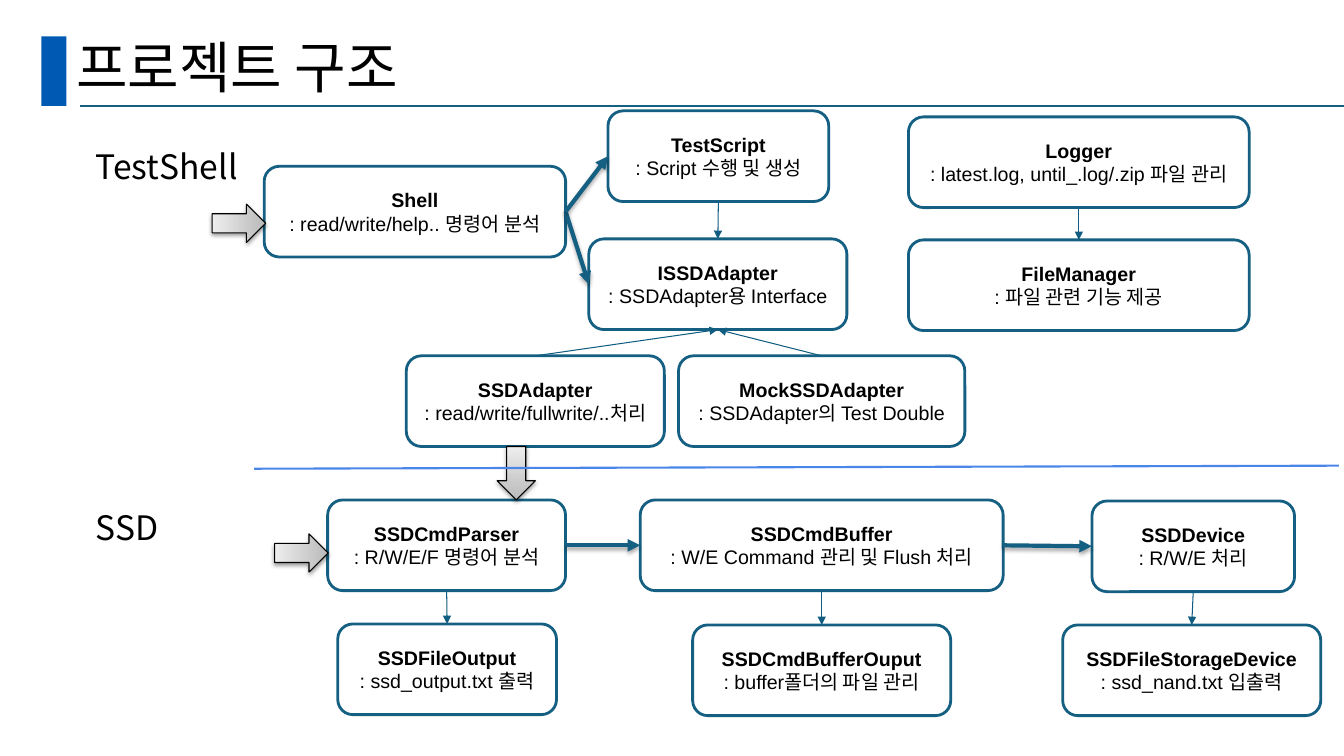
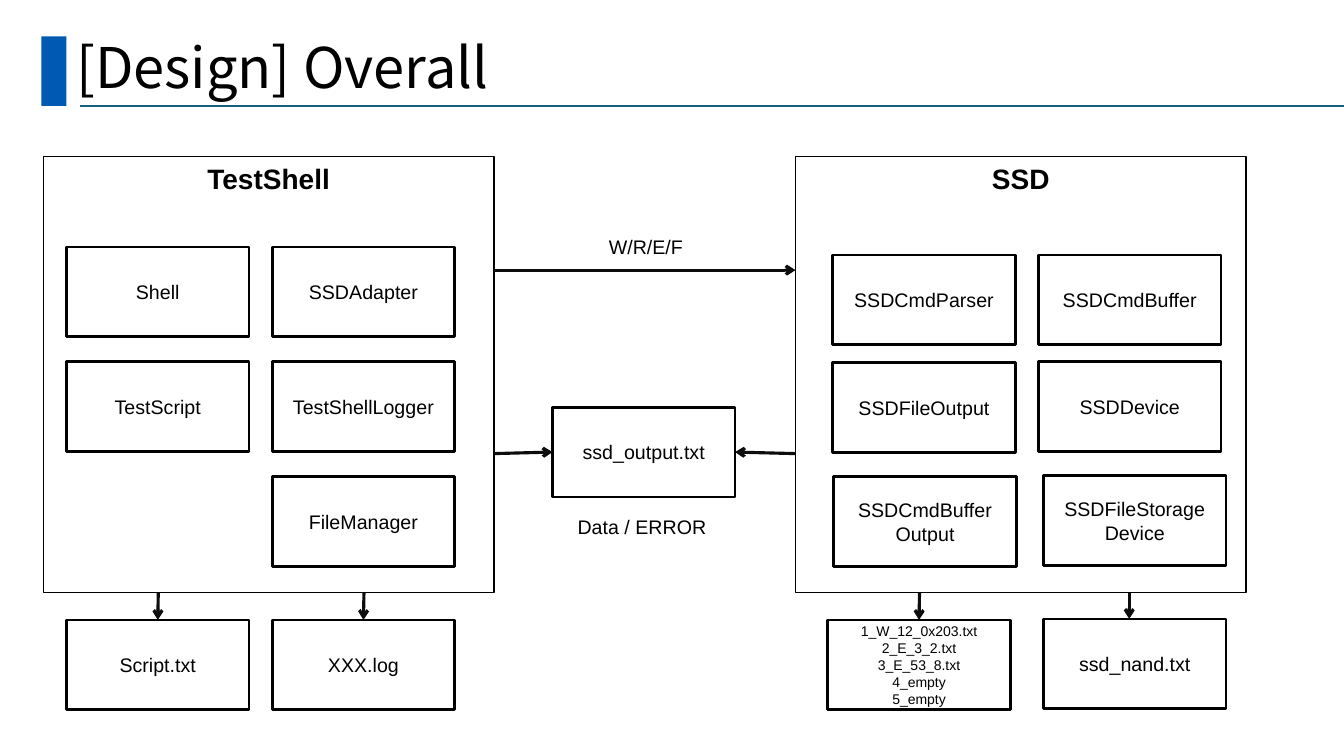
from dataclasses import dataclass

from lxml.etree import SubElement
from pptx import Presentation
from pptx.dml.color import RGBColor
from pptx.enum.shapes import MSO_CONNECTOR, MSO_SHAPE
from pptx.enum.text import MSO_ANCHOR, PP_ALIGN
from pptx.oxml.ns import qn
from pptx.util import Inches, Pt


@dataclass(frozen=True)
class Theme:
    band: str = "005AB4"
    teal: str = "156082"
    thin_arrow: str = "115D81"
    divider: str = "4A86E8"
    black: str = "000000"
    flow: str = "0D0D0D"
    white: str = "FFFFFF"
    arrow_dark: str = "BABABA"
    arrow_light: str = "EDEDED"
    heading_font: str = "Noto Sans CJK KR"
    body_font: str = "Arial"
    title_size: int = 40
    label_size: int = 24
    panel_size: int = 20
    text_size: int = 14
    small_size: int = 10


theme = Theme()
TOP, LEFT, BOTTOM, RIGHT = range(4)


def write_text(shape, lines, size, font=theme.body_font, align=PP_ALIGN.CENTER,
               anchor=MSO_ANCHOR.MIDDLE, bold_first=False, spacing=None, wrap=True):
    """Write one paragraph per line; a newline inside a line is a line break."""
    frame = shape.text_frame
    frame.word_wrap = wrap
    frame.vertical_anchor = anchor
    for index, line in enumerate(lines):
        paragraph = frame.paragraphs[0] if index == 0 else frame.add_paragraph()
        paragraph.alignment = align
        paragraph.line_spacing = spacing
        for part_index, part in enumerate(line.split("\n")):
            if part_index:
                paragraph.add_line_break()
            run = paragraph.add_run()
            run.text = part
            run.font.size = Pt(size)
            run.font.bold = bold_first and index == 0
            run.font.name = font
            run.font.color.rgb = RGBColor.from_string(theme.black)
            east_asian = SubElement(run.font._element, qn("a:ea"))
            east_asian.set("typeface", theme.heading_font)


def style_line(shape, colour, width, head=None, shadow=None):
    """Set line, arrowhead and shadow; shadow is (opacity %, distance in points)."""
    shape.line.color.rgb = RGBColor.from_string(colour)
    shape.line.width = Pt(width)
    properties = shape._element.spPr
    if head:
        SubElement(properties.find(qn("a:ln")), qn("a:tailEnd"), type=head)
    effects = SubElement(properties, qn("a:effectLst"))
    if shadow:
        opacity, distance = shadow
        outer = SubElement(effects, qn("a:outerShdw"), blurRad=str(Pt(3.1)),
                           dist=str(Pt(distance)), dir="5400000", rotWithShape="0")
        shade = SubElement(outer, qn("a:srgbClr"), val=theme.black)
        SubElement(shade, qn("a:alpha"), val=str(opacity * 1000))


presentation = Presentation()
presentation.slide_width = Inches(13.33)
presentation.slide_height = Inches(7.5)

# Shared header: band, rule and title
slides = []
for title in ("프로젝트 구조", "[Design] Overall"):
    slide = presentation.slides.add_slide(presentation.slide_layouts[6])
    slides.append(slide)
    band = slide.shapes.add_shape(MSO_SHAPE.RECTANGLE, Inches(0.41), Inches(0.36),
                                  Inches(0.25), Inches(0.69))
    band.shadow.inherit = False
    band.fill.solid()
    band.fill.fore_color.rgb = RGBColor.from_string(theme.band)
    band.line.fill.background()
    rule = slide.shapes.add_connector(MSO_CONNECTOR.STRAIGHT, Inches(0.79), Inches(1.05),
                                      Inches(13.33), Inches(1.05))
    style_line(rule, theme.teal, 1.5)
    title_box = slide.shapes.add_textbox(Inches(0.66), Inches(0.34), Inches(11.5), Inches(0.71))
    write_text(title_box, [title], theme.title_size, theme.heading_font,
               PP_ALIGN.LEFT, spacing=0.9)

structure, design = slides

# Structure: section labels
for label, top in (("TestShell", 1.44), ("SSD", 5.03)):
    label_box = structure.shapes.add_textbox(Inches(0.85), Inches(top), Inches(2), Inches(0.5))
    write_text(label_box, [label], theme.label_size, theme.heading_font,
               PP_ALIGN.LEFT, MSO_ANCHOR.TOP, spacing=0.9)

# Structure: class boxes as name, role, left, top, width
classes = [
    ("SSDCmdParser", ": R/W/E/F 명령어 분석", 3.25, 4.96, 2.36),
    ("SSDCmdBuffer", ": W/E Command 관리 및 Flush 처리", 6.35, 4.96, 3.6),
    ("SSDDevice", ": R/W/E 처리", 10.83, 4.97, 2.01),
    ("SSDCmdBufferOuput", ": buffer폴더의 파일 관리", 6.87, 6.2, 2.56),
    ("SSDFileOutput", ": ssd_output.txt 출력", 3.35, 6.19, 2.17),
    ("SSDFileStorageDevice", ": ssd_nand.txt 입출력", 10.54, 6.2, 2.56),
    ("Shell", ": read/write/help.. 명령어 분석", 2.62, 1.65, 2.99),
    ("ISSDAdapter", ": SSDAdapter용 Interface", 5.84, 2.37, 2.56),
    ("TestScript", ": Script 수행 및 생성", 6.03, 1.1, 2.19),
    ("SSDAdapter", ": read/write/fullwrite/..처리", 4.03, 3.53, 2.56),
    ("Logger", ": latest.log, until_.log/.zip 파일 관리", 9.01, 1.16, 3.38),
    ("MockSSDAdapter", ": SSDAdapter의 Test Double", 6.73, 3.53, 2.84),
    ("FileManager", ": 파일 관련 기능 제공", 9.01, 2.38, 3.38),
]
class_boxes = {}
for name, role, left, top, width in classes:
    box = structure.shapes.add_shape(MSO_SHAPE.ROUNDED_RECTANGLE, Inches(left), Inches(top),
                                     Inches(width), Inches(0.9))
    box.fill.solid()
    box.fill.fore_color.rgb = RGBColor.from_string(theme.white)
    style_line(box, theme.teal, 2)
    write_text(box, [name, role], theme.text_size, bold_first=True)
    class_boxes[name] = box

# Structure: links between class boxes, thick for the main flow
links = [
    ("SSDCmdParser", BOTTOM, "SSDFileOutput", TOP, False),
    ("SSDCmdBuffer", BOTTOM, "SSDCmdBufferOuput", TOP, False),
    ("SSDDevice", BOTTOM, "SSDFileStorageDevice", TOP, False),
    ("SSDCmdParser", RIGHT, "SSDCmdBuffer", LEFT, True),
    ("SSDCmdBuffer", RIGHT, "SSDDevice", LEFT, True),
    ("Shell", RIGHT, "ISSDAdapter", LEFT, True),
    ("Shell", RIGHT, "TestScript", LEFT, True),
    ("SSDAdapter", TOP, "ISSDAdapter", BOTTOM, False),
    ("MockSSDAdapter", TOP, "ISSDAdapter", BOTTOM, False),
    ("Logger", BOTTOM, "FileManager", TOP, False),
    ("TestScript", BOTTOM, "ISSDAdapter", TOP, False),
]
for source, source_side, target, target_side, thick in links:
    link = structure.shapes.add_connector(MSO_CONNECTOR.STRAIGHT, 0, 0, 0, 0)
    link.begin_connect(class_boxes[source], source_side)
    link.end_connect(class_boxes[target], target_side)
    if thick:
        style_line(link, theme.teal, 3, "triangle", (35, 1.8))
    else:
        style_line(link, theme.thin_arrow, 0.75, "triangle")

# Structure: block arrows for incoming commands
for left, top, rotation in ((4.93, 4.43, 0), (2.18, 1.95, 270), (2.8, 5.22, 270)):
    block_arrow = structure.shapes.add_shape(MSO_SHAPE.DOWN_ARROW, Inches(left), Inches(top),
                                             Inches(0.38), Inches(0.53))
    block_arrow.rotation = rotation
    block_arrow.fill.gradient()
    block_arrow.fill.gradient_angle = 90
    for stop, colour in zip(block_arrow.fill.gradient_stops,
                            (theme.arrow_dark, theme.arrow_light)):
        stop.color.rgb = RGBColor.from_string(colour)
    style_line(block_arrow, theme.black, 0.75, shadow=(38, 1.6))

# Structure: divider between TestShell and SSD
divider = structure.shapes.add_connector(MSO_CONNECTOR.STRAIGHT, Inches(2.52), Inches(4.65),
                                         Inches(13.28), Inches(4.62))
style_line(divider, theme.divider, 1.5)

# Design: the two program panels
for name, left in (("TestShell", 0.43), ("SSD", 7.89)):
    panel = design.shapes.add_shape(MSO_SHAPE.RECTANGLE, Inches(left), Inches(1.55),
                                    Inches(4.47), Inches(4.33))
    panel.fill.background()
    style_line(panel, theme.black, 1)
    write_text(panel, [name], theme.panel_size, anchor=MSO_ANCHOR.TOP, bold_first=True)

# Design: modules and files; TestShell modules sit on a regular grid
modules = [(name, 0.66 + 2.04 * column, 2.45 + 1.14 * row) for name, column, row in (
    ("Shell", 0, 0), ("SSDAdapter", 1, 0), ("TestScript", 0, 1),
    ("TestShellLogger", 1, 1), ("FileManager", 1, 2))]
modules += [
    ("SSDCmdParser", 8.26, 2.53),
    ("SSDCmdBuffer", 10.3, 2.53),
    ("SSDFileOutput", 8.26, 3.6),
    ("SSDDevice", 10.3, 3.59),
    ("SSDCmdBuffer\nOutput", 8.27, 4.73),
    ("SSDFileStorage\nDevice", 10.35, 4.72),
    ("ssd_output.txt", 5.48, 4.04),
    ("Script.txt", 0.66, 6.15),
    ("XXX.log", 2.7, 6.15),
    ("ssd_nand.txt", 10.35, 6.14),
]
buffer_files = ["1_W_12_0x203.txt", "2_E_3_2.txt", "3_E_53_8.txt", "4_empty", "5_empty"]
module_rows = [([name], left, top, theme.text_size) for name, left, top in modules]
module_rows.append((buffer_files, 8.21, 6.15, theme.small_size))
module_boxes = {}
for lines, left, top, size in module_rows:
    box = design.shapes.add_shape(MSO_SHAPE.RECTANGLE, Inches(left), Inches(top),
                                  Inches(1.81), Inches(0.89))
    box.fill.background()
    style_line(box, theme.black, 2)
    write_text(box, lines, size)
    module_boxes[lines[0]] = box

# Design: data flow as start, end, joined box and side
flows = [
    ((4.9, 2.68), (7.89, 2.68), None, None),
    ((4.9, 4.5), (5.48, 4.49), "ssd_output.txt", LEFT),
    ((7.89, 4.5), (7.29, 4.49), "ssd_output.txt", RIGHT),
    ((1.57, 5.88), (1.57, 6.15), "Script.txt", TOP),
    ((3.61, 5.88), (3.61, 6.15), "XXX.log", TOP),
    ((9.12, 5.88), (9.12, 6.15), buffer_files[0], TOP),
    ((11.2, 5.88), (11.2, 6.14), None, None),
]
for start, end, target, side in flows:
    flow = design.shapes.add_connector(MSO_CONNECTOR.STRAIGHT,
                                       *[Inches(value) for value in start + end])
    if target:
        flow.end_connect(module_boxes[target], side)
    style_line(flow, theme.flow, 2.25, "arrow")

# Design: flow captions
for caption, left, top, width in (("W/R/E/F", 5.94, 2.28, 0.94),
                                  ("Data / ERROR", 5.63, 5.06, 1.49)):
    caption_box = design.shapes.add_textbox(Inches(left), Inches(top),
                                            Inches(width), Inches(0.34))
    write_text(caption_box, [caption], theme.text_size, align=PP_ALIGN.LEFT,
               anchor=MSO_ANCHOR.TOP, wrap=False)

presentation.save("out.pptx")
